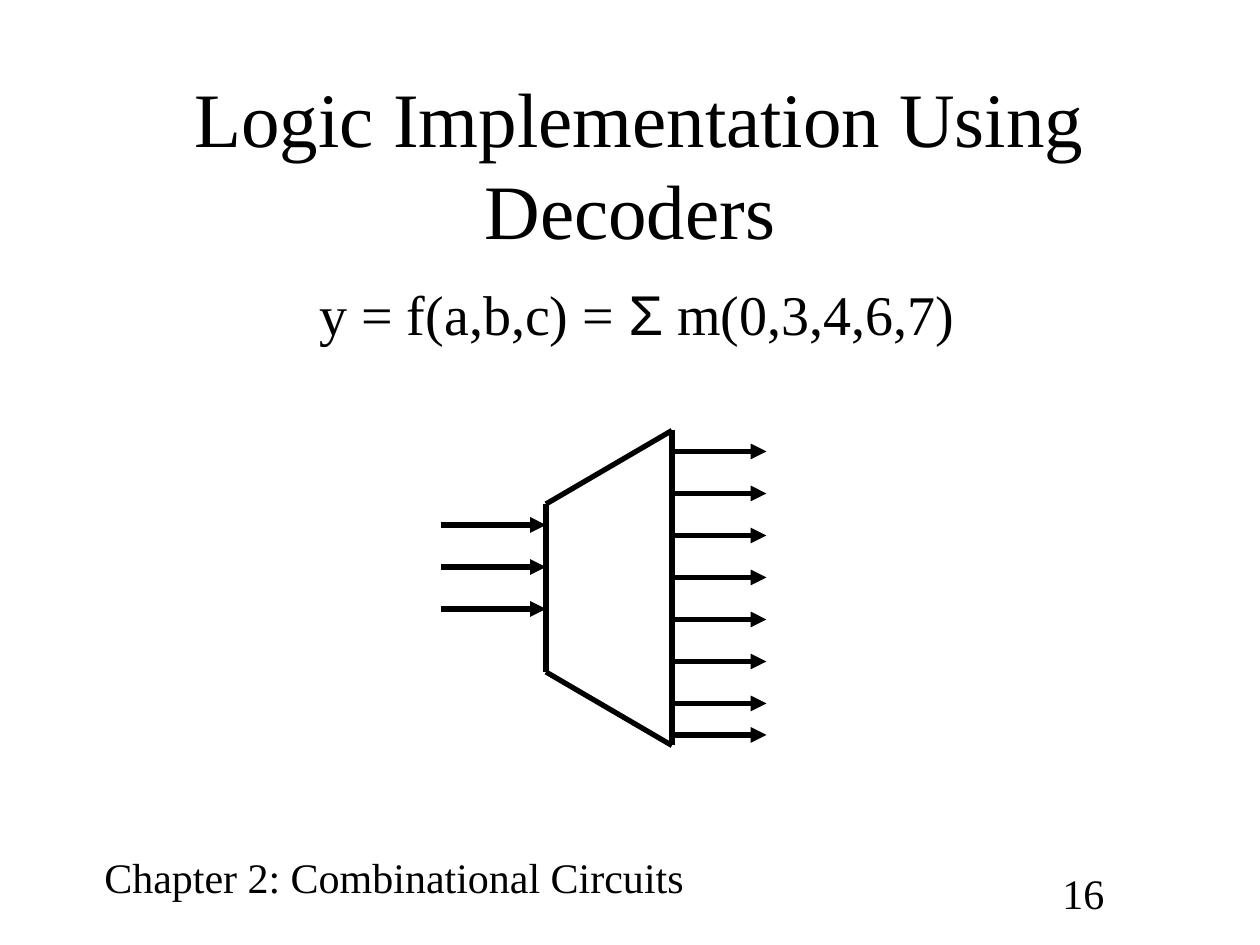
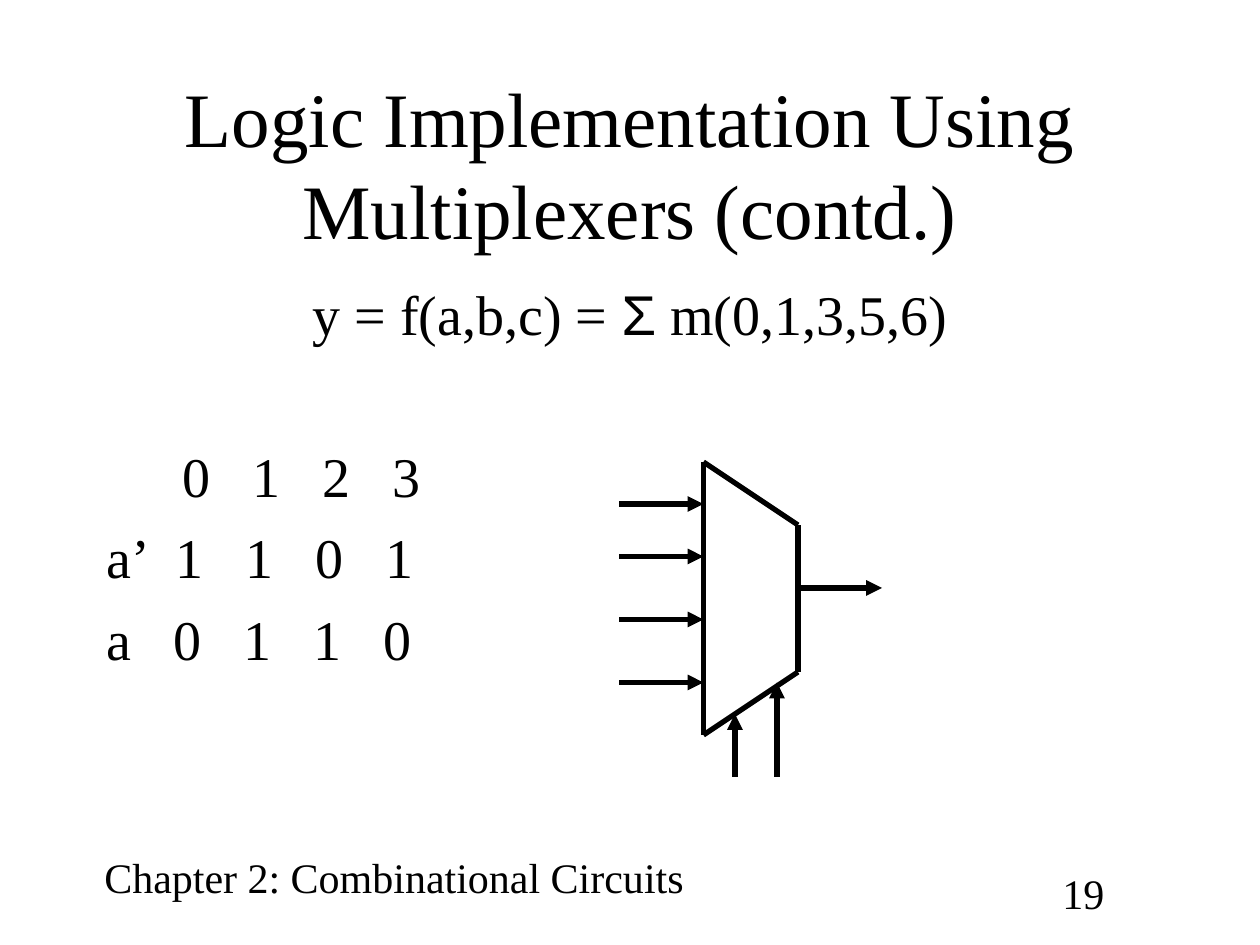
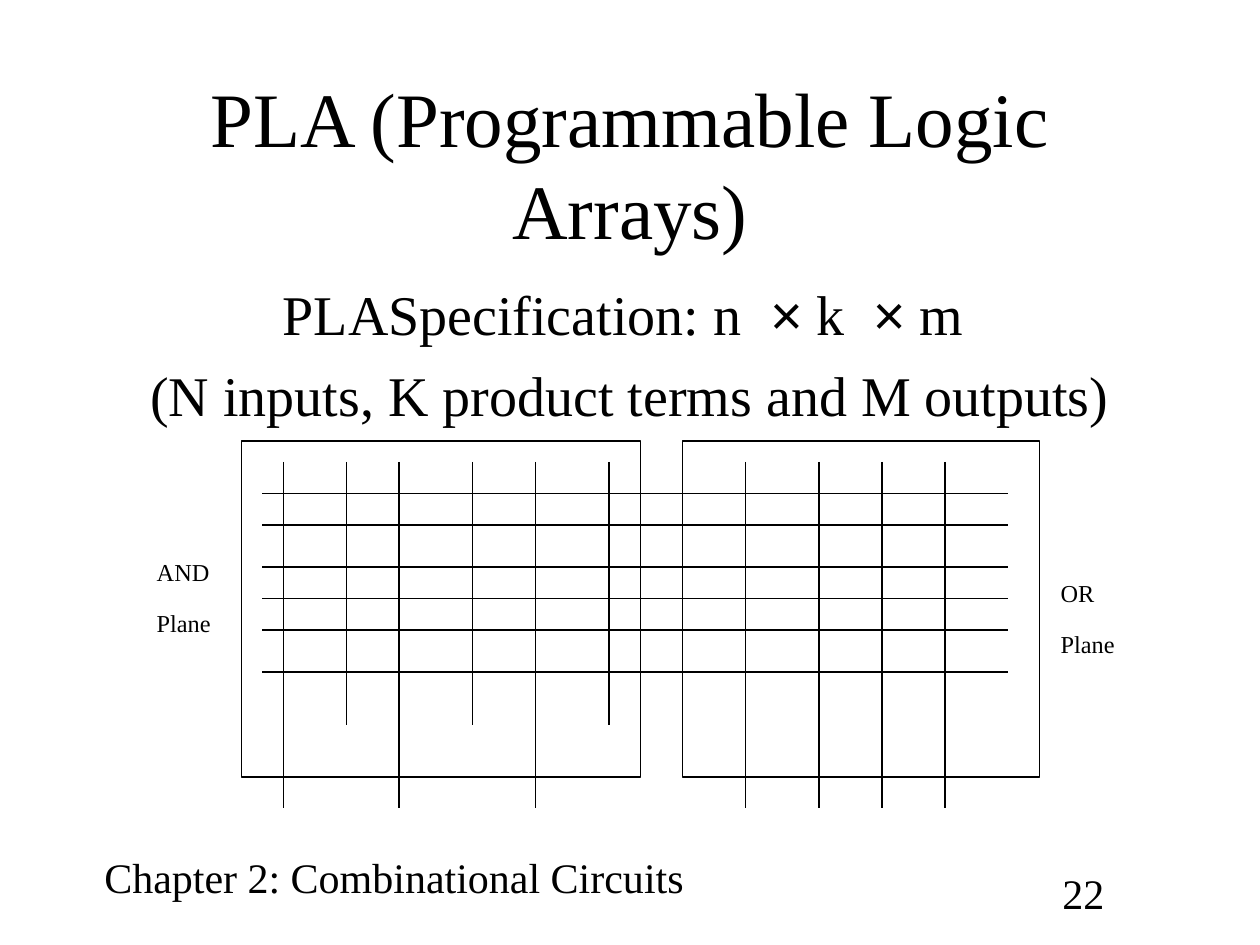
from dataclasses import dataclass
from itertools import groupby, pairwise
from typing import NamedTuple

from lxml.etree import SubElement
from pptx import Presentation
from pptx.dml.color import RGBColor
from pptx.enum.shapes import MSO_CONNECTOR, MSO_SHAPE
from pptx.enum.text import MSO_ANCHOR, PP_ALIGN
from pptx.oxml.ns import qn
from pptx.slide import Slide
from pptx.util import Pt

COLORS = {"ink": "000000"}
TEXT_FONT, SYMBOL_FONT = "Times New Roman", "Arial"
SYMBOLS = "Σ×"
THICK, THIN = 3, 0.75
PARAGRAPH_GAP = 8
FOOTER = "Chapter 2: Combinational Circuits"


class Box(NamedTuple):
    left: float
    top: float
    width: float
    height: float


class Point(NamedTuple):
    x: float
    y: float


@dataclass
class Line:
    start: Point
    end: Point
    width: float = THICK
    arrow: bool = False


@dataclass
class MatrixRow:
    text: str
    first_column: float
    space_before: float = PARAGRAPH_GAP


TITLE_BOX = Box(54, 48, 612, 90)
BODY_BOX = Box(54, 156, 612, 324)
FOOTER_BOX = Box(52.5, 483, 351, 36)
NUMBER_BOX = Box(600, 492, 66, 36)


def ink() -> RGBColor:
    return RGBColor.from_string(COLORS["ink"])


def add_paragraph(frame, text: str, *, size: float = 32, align=PP_ALIGN.LEFT,
                  space_before: float = 0, tabs=(), baseline: int = 0) -> None:
    """Write one paragraph, setting mathematical symbols in their own font."""
    first = frame.paragraphs[0]
    paragraph = frame.add_paragraph() if first.runs else first
    paragraph.alignment = align
    paragraph.space_before = Pt(space_before)
    if tabs:
        tab_list = SubElement(paragraph._p.get_or_add_pPr(), qn("a:tabLst"))
        for position in tabs:
            SubElement(tab_list, qn("a:tab"), pos=str(Pt(position)), algn="l")
    for is_symbol, letters in groupby(text, key=lambda letter: letter in SYMBOLS):
        run = paragraph.add_run()
        run.text = "".join(letters)
        run.font.name = SYMBOL_FONT if is_symbol else TEXT_FONT
        run.font.size = Pt(size)
        run.font.color.rgb = ink()
        if baseline:
            run._r.get_or_add_rPr().set("baseline", str(baseline))


def add_text(slide: Slide, box: Box, *texts: str, anchor=MSO_ANCHOR.TOP,
             gap: float = 0, **text_format):
    shape = slide.shapes.add_textbox(*map(Pt, box))
    frame = shape.text_frame
    frame.word_wrap = True
    frame.vertical_anchor = anchor
    for index, text in enumerate(texts):
        add_paragraph(frame, text, space_before=gap if index else 0, **text_format)
    return frame


def draw_line(slide: Slide, line: Line) -> None:
    connector = slide.shapes.add_connector(
        MSO_CONNECTOR.STRAIGHT, *map(Pt, (*line.start, *line.end)))
    connector.line.width = Pt(line.width)
    connector.line.color.rgb = ink()
    if line.arrow:
        SubElement(connector.line._get_or_add_ln(), qn("a:tailEnd"), type="triangle")
    SubElement(connector._element.spPr, qn("a:effectLst"))


def draw_outline(slide: Slide, *corners: Point) -> None:
    for start, end in pairwise((*corners, corners[0])):
        draw_line(slide, Line(start, end))


def draw_rows(slide: Slide, left: float, right: float, heights, **style) -> None:
    for y in heights:
        draw_line(slide, Line(Point(left, y), Point(right, y), **style))


def draw_columns(slide: Slide, top: float, bottom: float, positions, **style) -> None:
    for x in positions:
        draw_line(slide, Line(Point(x, top), Point(x, bottom), **style))


def draw_frame(slide: Slide, box: Box) -> None:
    shape = slide.shapes.add_shape(MSO_SHAPE.RECTANGLE, *map(Pt, box))
    shape.shadow.inherit = False
    shape.fill.background()
    shape.line.color.rgb = ink()
    shape.line.width = Pt(THIN)


def start_slide(presentation, title: str, number: int) -> Slide:
    slide = presentation.slides.add_slide(presentation.slide_layouts[6])
    add_text(slide, FOOTER_BOX, FOOTER, size=24)
    add_text(slide, NUMBER_BOX, str(number), size=24)
    add_text(slide, TITLE_BOX, title, size=44, align=PP_ALIGN.CENTER,
             anchor=MSO_ANCHOR.MIDDLE)
    return slide


def add_body(slide: Slide, *texts: str):
    return add_text(slide, BODY_BOX, *texts, align=PP_ALIGN.CENTER, gap=PARAGRAPH_GAP)


def build_decoder(presentation) -> None:
    slide = start_slide(presentation, " Logic Implementation Using Decoders", 16)
    add_body(slide, " y = f(a,b,c) = Σ m(0,3,4,6,7)")
    draw_outline(slide, Point(312, 288), Point(312, 384), Point(384, 426), Point(384, 246))
    # Three inputs, eight outputs
    draw_rows(slide, 252, 312, range(300, 349, 24), arrow=True)
    draw_rows(slide, 384, 438, (*range(258, 403, 24), 420), arrow=True)


def build_multiplexer(presentation) -> None:
    slide = start_slide(presentation, "Logic Implementation Using Multiplexers (contd.)", 19)
    frame = add_body(slide, "y = f(a,b,c) = Σ m(0,1,3,5,6)")
    # Minterm matrix, its columns on tab stops
    for row in (MatrixRow("\t0\t1\t2\t3", 43, 54.5),
                MatrixRow("a’\t1\t1\t0\t1", 39),
                MatrixRow("a\t0\t1\t1\t0", 38)):
        add_paragraph(frame, row.text, space_before=row.space_before,
                      tabs=[row.first_column + 40 * column for column in range(4)])
    draw_outline(slide, Point(402, 264), Point(402, 420), Point(456, 384), Point(456, 300))
    # Data inputs, output and select lines
    draw_rows(slide, 354, 402, (288, 318, 354, 390), arrow=True)
    draw_rows(slide, 456, 504, (336,), arrow=True)
    draw_columns(slide, 444, 408, (420,), arrow=True)
    draw_columns(slide, 444, 390, (444,), arrow=True)


def build_logic_array(presentation) -> None:
    slide = start_slide(presentation, "PLA (Programmable Logic Arrays)", 22)
    add_body(slide, "PLASpecification: n  × k  × m ",
             "(N inputs, K product terms and M outputs)")
    # Product terms, then inputs and outputs, then complemented inputs
    draw_rows(slide, 150, 576, (282, 300, 324, 342, 360, 384), width=THIN)
    draw_columns(slide, 264, 462, (162, 228, 306, 426, 468, 504, 540), width=THIN)
    draw_columns(slide, 264, 414, (198, 270, 348), width=THIN)
    # The two planes and their labels
    draw_frame(slide, Box(138, 252, 228, 192))
    draw_frame(slide, Box(390, 252, 204, 192))
    for name, left, top in (("AND", 82.5, 312), ("OR", 599, 324)):
        add_text(slide, Box(left, top, 50.5, 65), name, "Plane", size=24, baseline=30000)


def main() -> None:
    presentation = Presentation()
    presentation.slide_width, presentation.slide_height = Pt(720), Pt(540)
    build_decoder(presentation)
    build_multiplexer(presentation)
    build_logic_array(presentation)
    presentation.save("out.pptx")


if __name__ == "__main__":
    main()
